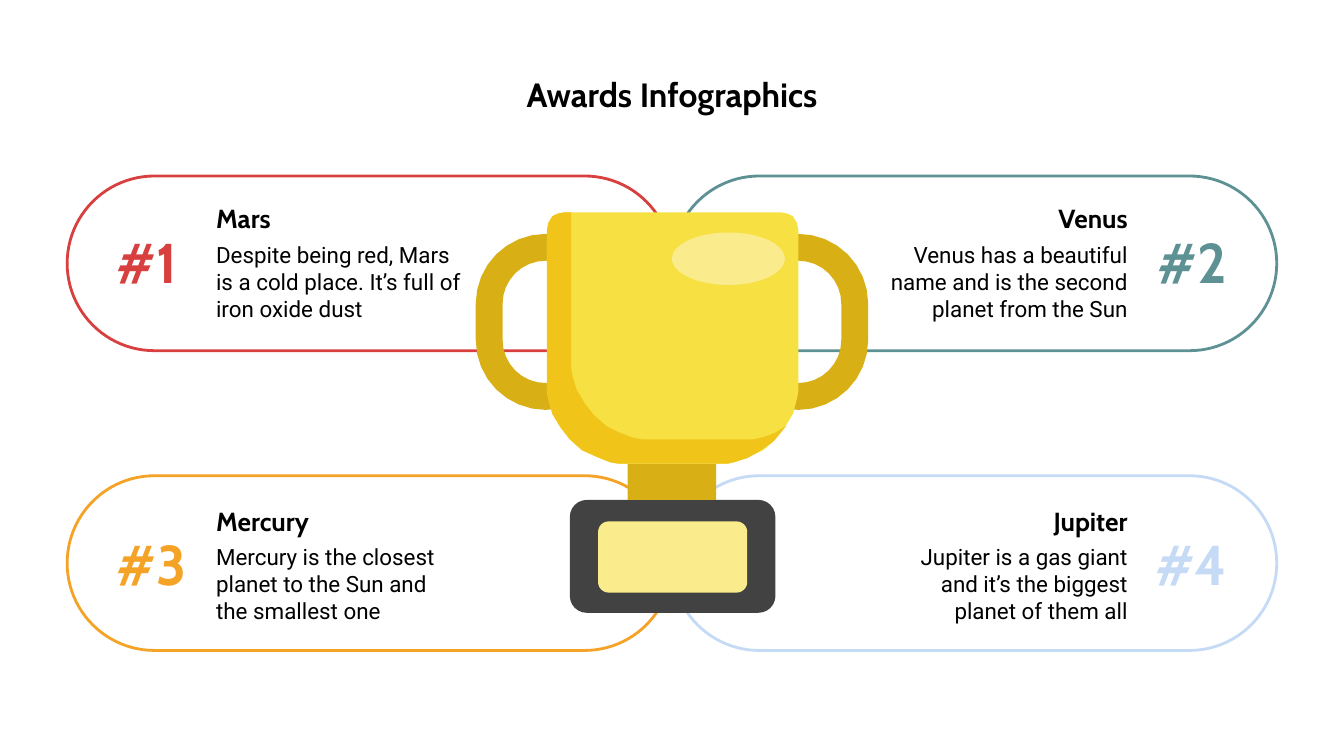
"""Build the awards slide: four numbered planet cards around a trophy."""
from dataclasses import dataclass
from math import cos, radians, sin

from pptx import Presentation
from pptx.dml.color import RGBColor
from pptx.enum.shapes import MSO_SHAPE
from pptx.enum.text import MSO_ANCHOR, PP_ALIGN
from pptx.util import Inches, Pt


@dataclass(frozen=True)
class Theme:
    heading_font: str = "Cabin"
    body_font: str = "Roboto"
    title_size: int = 18
    number_size: int = 30
    name_size: int = 14
    body_size: int = 12
    outline_width: float = 1.5
    text: str = "000000"
    red: str = "D83F3F"
    teal: str = "5D9194"
    orange: str = "F5A326"
    blue: str = "C4DAF5"
    base: str = "424242"
    dark_gold: str = "D8B016"
    gold: str = "F0C419"
    yellow: str = "F7E041"
    pale_yellow: str = "FAEC8D"


theme = Theme()


def write(shape, text, size, align, font=theme.heading_font, color=theme.text,
          bold=True, anchor=MSO_ANCHOR.MIDDLE):
    frame = shape.text_frame
    frame.word_wrap = True
    frame.vertical_anchor = anchor
    frame.margin_left = frame.margin_right = Inches(0.1)
    frame.margin_top = frame.margin_bottom = Inches(0.1)
    paragraph = frame.paragraphs[0]
    paragraph.alignment = align
    run = paragraph.add_run()
    run.text = text
    run.font.name = font
    run.font.size = Pt(size)
    run.font.bold = bold
    run.font.color.rgb = RGBColor.from_string(color)


def paint(shape, color):
    shape.shadow.inherit = False
    shape.fill.solid()
    shape.fill.fore_color.rgb = RGBColor.from_string(color)
    shape.line.fill.background()


presentation = Presentation()
presentation.slide_width = Inches(10)
presentation.slide_height = Inches(10 * 9 / 16)
slide = presentation.slides.add_slide(presentation.slide_layouts[5])

title = slide.shapes.title
title.left, title.top, title.width, title.height = map(Inches, (0.5, 0.45, 9, 0.53))
write(title, "Awards Infographics", theme.title_size, PP_ALIGN.CENTER, anchor=MSO_ANCHOR.TOP)

left_column = (0.5, 0.77, 1.51, PP_ALIGN.LEFT)
right_column = (5, 8.49, 6.46, PP_ALIGN.RIGHT)
top_row = (1.31, 1.47)
bottom_row = (3.54, 3.72)
cards = [
    ("#1", "Mars", "Despite being red, Mars is a cold place. It’s full of iron oxide dust",
     theme.red, left_column, top_row),
    ("#2", "Venus", "Venus has a beautiful name and is the second planet from the Sun",
     theme.teal, right_column, top_row),
    ("#3", "Mercury", "Mercury is the closest planet to the Sun and the smallest one",
     theme.orange, left_column, bottom_row),
    ("#4", "Jupiter", "Jupiter is a gas giant and it’s the biggest planet of them all",
     theme.blue, right_column, bottom_row),
]
for number, name, body, color, column, row in cards:
    card_left, number_left, text_left, align = column
    card_top, text_top = row
    card = slide.shapes.add_shape(
        MSO_SHAPE.ROUNDED_RECTANGLE,
        Inches(card_left), Inches(card_top), Inches(4.5), Inches(1.3))
    card.adjustments[0] = 0.5
    card.shadow.inherit = False
    card.fill.background()
    card.line.color.rgb = RGBColor.from_string(color)
    card.line.width = Pt(theme.outline_width)
    texts = [
        (number, number_left, text_top, 0.74, 0.94,
         {"size": theme.number_size, "color": color}),
        (name, text_left, text_top, 2.03, 0.31, {"size": theme.name_size}),
        (body, text_left, text_top + 0.31, 2.03, 0.63,
         {"size": theme.body_size, "font": theme.body_font, "bold": False}),
    ]
    for text, left, top, width, height, style in texts:
        box = slide.shapes.add_textbox(Inches(left), Inches(top), Inches(width), Inches(height))
        write(box, text, align=align, **style)

trophy = slide.shapes.add_group_shape().shapes

stand = [
    (MSO_SHAPE.ROUNDED_RECTANGLE, 4.24, 3.72, 1.53, 0.84, theme.base),
    (MSO_SHAPE.ROUNDED_RECTANGLE, 4.45, 3.88, 1.11, 0.53, theme.pale_yellow),
    (MSO_SHAPE.RECTANGLE, 4.67, 3.45, 0.66, 0.27, theme.dark_gold),
]
for preset, left, top, width, height, color in stand:
    part = trophy.add_shape(preset, Inches(left), Inches(top), Inches(width), Inches(height))
    if preset == MSO_SHAPE.ROUNDED_RECTANGLE:
        part.adjustments[0] = 0.15
    paint(part, color)

outlines = []
for center in (4.06, 5.94):
    ring = []
    for radius in (0.52, 0.32):
        loop = []
        for arc_center, first_angle in ((2.53, 0), (2.26, 180)):
            for step in range(17):
                angle = radians(first_angle + step * 11.25)
                loop.append((center + radius * cos(angle), arc_center + radius * sin(angle)))
        ring.append(loop)
    outlines.append((ring, theme.dark_gold))

cup_left = [
    (4.2, 1.58), (4.15, 1.59), (4.11, 1.61), (4.08, 1.66), (4.07, 1.71),
    (4.07, 2.91), (4.08, 2.97), (4.11, 3.08), (4.17, 3.18), (4.24, 3.27),
    (4.33, 3.35), (4.44, 3.4), (4.54, 3.44), (4.6, 3.45),
]
cup_right = [(10.01 - x, y) for x, y in reversed(cup_left)]
shade_edge = [
    (5.42, 3.45), (5.49, 3.43), (5.56, 3.41), (5.63, 3.37), (5.69, 3.33),
    (5.75, 3.29), (5.8, 3.23), (5.85, 3.17), (5.77, 3.22), (5.69, 3.25),
    (5.61, 3.27), (4.78, 3.27), (4.72, 3.26), (4.61, 3.22), (4.51, 3.17),
    (4.42, 3.09), (4.35, 3), (4.29, 2.9), (4.26, 2.8), (4.25, 2.74), (4.25, 1.58),
]
outlines.append(([cup_left + cup_right], theme.yellow))
outlines.append(([cup_left + shade_edge], theme.gold))

for contours, color in outlines:
    scaled = [[(Inches(x), Inches(y)) for x, y in contour] for contour in contours]
    builder = trophy.build_freeform(*scaled[0][0])
    builder.add_line_segments(scaled[0][1:], close=True)
    for contour in scaled[1:]:
        builder.move_to(*contour[0])
        builder.add_line_segments(contour[1:], close=True)
    paint(builder.convert_to_shape(), color)

shine = trophy.add_shape(MSO_SHAPE.OVAL, Inches(5), Inches(1.73), Inches(0.84), Inches(0.39))
paint(shine, theme.pale_yellow)

presentation.save("out.pptx")
